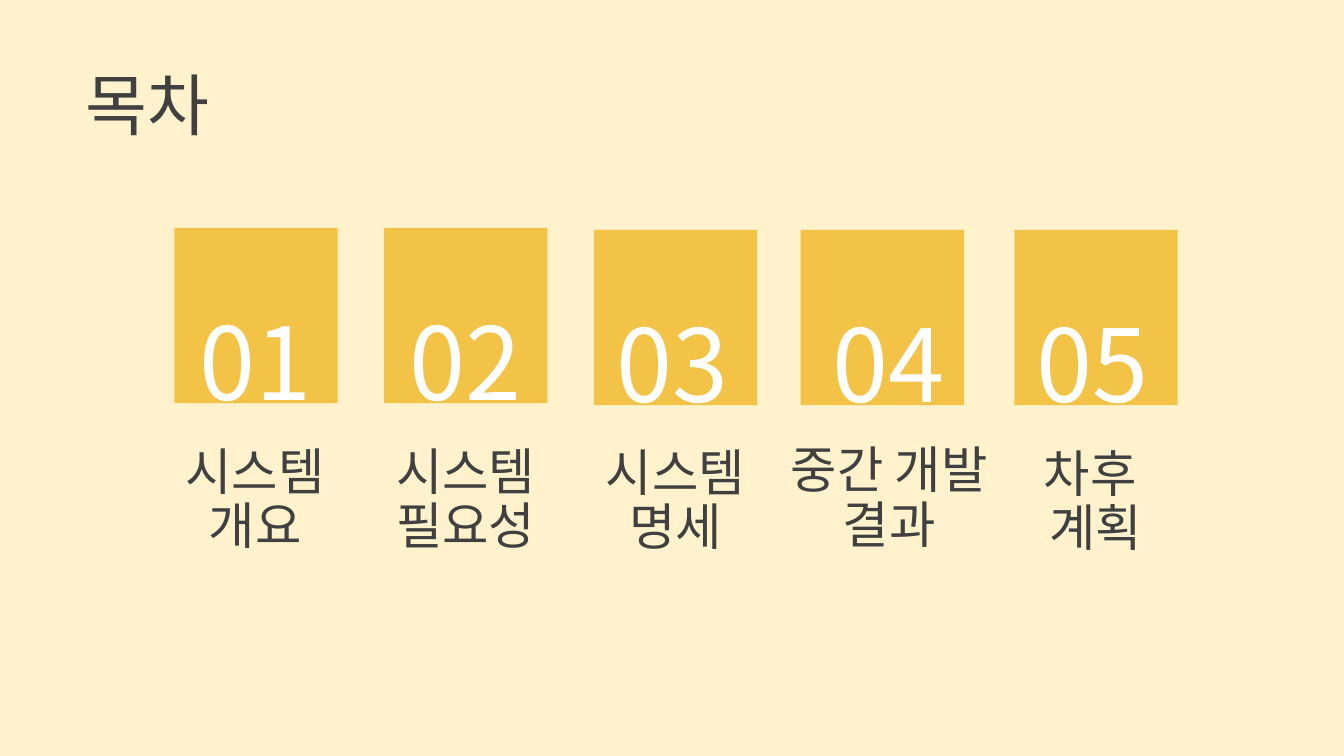
from pptx import Presentation
from pptx.dml.color import RGBColor
from pptx.enum.shapes import MSO_SHAPE as Shape
from pptx.enum.text import MSO_ANCHOR as Anchor, PP_ALIGN as Align
from pptx.oxml.ns import qn
from pptx.util import Inches, Pt

FONT = "Noto Sans CJK KR"
CREAM, AMBER, CHARCOAL, WHITE = "FFF2CC", "F3C347", "404040", "FFFFFF"

# Tile left and top, number shift, label shift and top, label text
# (\v breaks a line, \n starts a paragraph)
CHAPTERS = [
    (1.73, 2.26, -0.07, -0.30, 3.67, "시스템\v개요"),
    (3.81, 2.26, -0.07, -0.29, 3.67, "시스템\v필요성"),
    (5.89, 2.28, -0.10, -0.29, 3.68, "시스템\n명세"),
    (7.94, 2.28, 0, -0.22, 3.66, "중간 개발 결과"),
    (10.06, 2.28, -0.10, -0.29, 3.69, "차후 \n계획"),
]


def color(hex_code):
    return RGBColor.from_string(hex_code)


def add_text(slide, text, left, top, width, height, *, size,
             fill=CHARCOAL, align=Align.CENTER):
    box = slide.shapes.add_textbox(
        Inches(left), Inches(top), Inches(width), Inches(height))
    frame = box.text_frame
    frame.word_wrap = True
    frame.vertical_anchor = Anchor.BOTTOM
    frame.margin_left = frame.margin_right = Inches(0.1)
    frame.margin_top = frame.margin_bottom = Inches(0.1)
    frame.text = text
    for paragraph in frame.paragraphs:
        paragraph.alignment = align
        paragraph.line_spacing = 0.9
        for run in paragraph.runs:
            run.font.name = FONT
            run.font.size = Pt(size)
            run.font.color.rgb = color(fill)
            # Hangul takes the East Asian typeface
            east_asian = run.font._element.makeelement(
                qn("a:ea"), {"typeface": FONT})
            run.font._element.append(east_asian)


def add_title(slide, left, top, width, height):
    add_text(slide, "목차", left, top, width, height,
             size=48, align=Align.LEFT)


def add_chapter(slide, number, left, top, number_shift,
                label_shift, label_top, label):
    # Tile
    tile = slide.shapes.add_shape(
        Shape.RECTANGLE, Inches(left), Inches(top), Inches(1.62), Inches(1.74))
    tile.shadow.inherit = False
    tile.fill.solid()
    tile.fill.fore_color.rgb = color(AMBER)
    tile.line.fill.background()
    # Number at the foot of the tile
    add_text(slide, f"{number:02d}", left + number_shift, top + 0.8,
             1.75, 1.23, size=72, fill=WHITE)
    # Label below the tile
    add_text(slide, label, left + label_shift, label_top, 2.2, 1.94, size=36)


def build_contents(presentation):
    slide = presentation.slides.add_slide(presentation.slide_layouts[6])
    slide.background.fill.solid()
    slide.background.fill.fore_color.rgb = color(CREAM)
    add_title(slide, 0.75, 0.49, 1.58, 1.05)
    for number, chapter in enumerate(CHAPTERS, start=1):
        add_chapter(slide, number, *chapter)


presentation = Presentation()
presentation.slide_width = Inches(13.33)
presentation.slide_height = Inches(7.5)
build_contents(presentation)
presentation.save("out.pptx")
